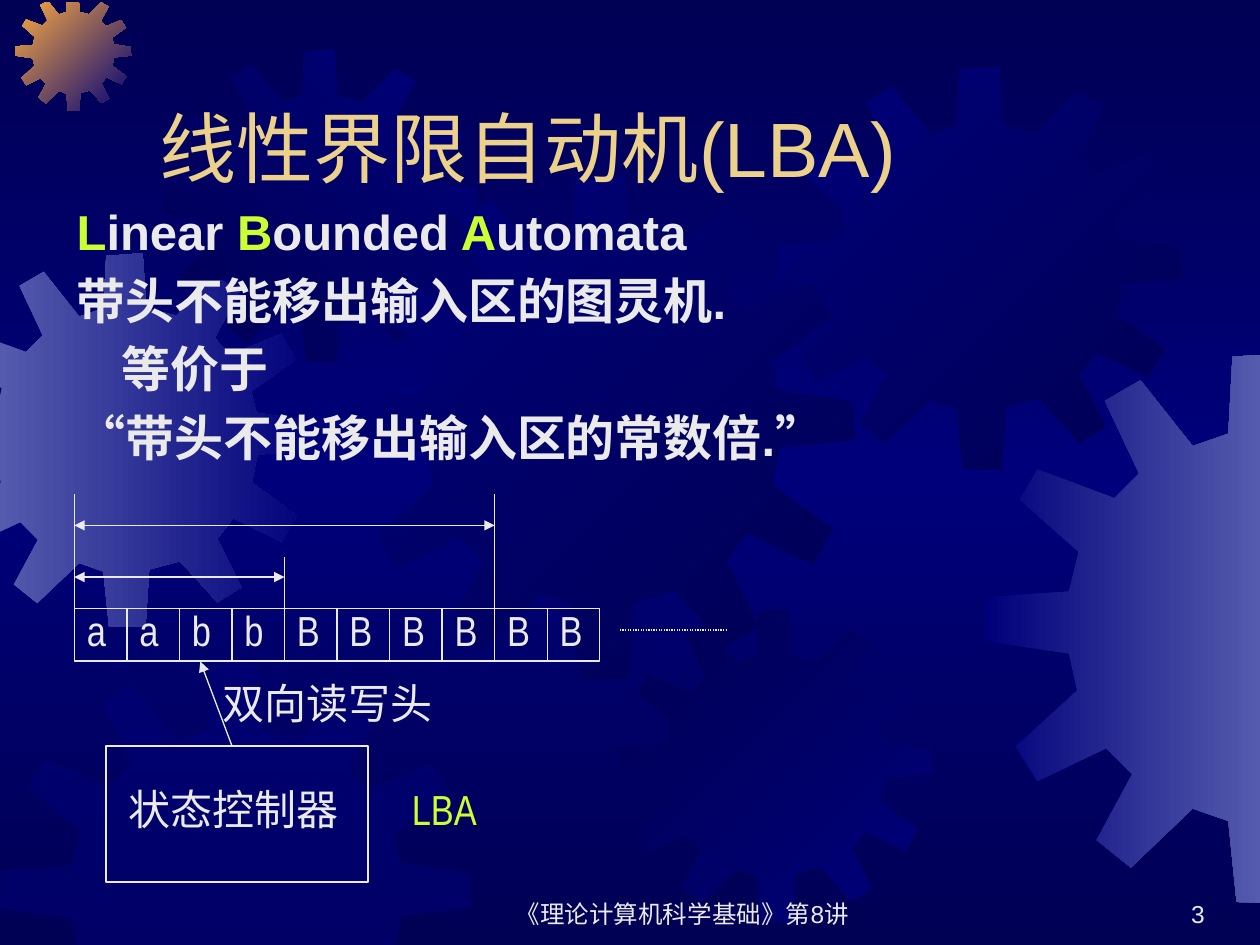
"""Build the linear bounded automata slide with its gear background."""
from copy import deepcopy

from lxml import etree
from pptx import Presentation
from pptx.dml.color import RGBColor
from pptx.enum.dml import MSO_LINE
from pptx.enum.shapes import MSO_CONNECTOR, MSO_SHAPE
from pptx.enum.text import MSO_ANCHOR, PP_ALIGN
from pptx.oxml.ns import qn
from pptx.util import Inches, Pt

STRAIGHT = MSO_CONNECTOR.STRAIGHT
RECTANGLE = MSO_SHAPE.RECTANGLE
SYS_DOT = MSO_LINE.ROUND_DOT
TOP, BOTTOM = MSO_ANCHOR.TOP, MSO_ANCHOR.BOTTOM
LEFT, CENTER, RIGHT = PP_ALIGN.LEFT, PP_ALIGN.CENTER, PP_ALIGN.RIGHT

NAVY = RGBColor(0x00, 0x00, 0x54)
BLUE = RGBColor(0x00, 0x00, 0x7A)
STEEL = RGBColor(0x55, 0x5B, 0xAD)
ORANGE = RGBColor(0xFC, 0xAB, 0x40)
PALE = RGBColor(0xEA, 0xEA, 0xEA)
GOLD = RGBColor(0xEB, 0xD1, 0x89)
LIME = RGBColor(0xCC, 0xFF, 0x33)

GEAR_SPAN = 4.01
GEAR_OUTLINE = [
    (2.55, 0.67), (2.23, 0.59), (2.19, 0), (1.8, 0.03), (1.77, 0.59), (1.51, 0.68),
    (1.13, 0.2), (0.87, 0.35), (1.12, 0.88), (0.94, 1.06), (0.38, 0.85), (0.25, 1.07),
    (0.68, 1.45), (0.61, 1.74), (0.01, 1.78), (0, 2.1), (0.61, 2.19), (0.67, 2.46),
    (0.22, 2.87), (0.38, 3.12), (0.88, 2.88), (1.07, 3.07), (0.81, 3.55), (1.06, 3.75),
    (1.51, 3.32), (1.77, 3.41), (1.83, 4), (2.22, 4.01), (2.26, 3.39), (2.59, 3.3),
    (2.99, 3.74), (3.25, 3.58), (2.99, 3.06), (3.16, 2.84), (3.68, 3.09), (3.84, 2.81),
    (3.36, 2.46), (3.42, 2.16), (4.01, 2.1), (4, 1.8), (3.41, 1.71), (3.35, 1.48),
    (3.83, 1.14), (3.67, 0.87), (3.13, 1.09), (2.96, 0.91), (3.23, 0.41), (2.97, 0.25),
]
SLIDE_EDGES = [(0, -0.01, 1), (0, 10.01, -1), (1, 0.02, 1), (1, 7.54, -1)]

prs = Presentation()
prs.slide_width, prs.slide_height = Inches(10), Inches(7.5)
slide = prs.slides.add_slide(prs.slide_layouts[6])
shapes = slide.shapes

backdrop = slide.background.fill
backdrop.gradient()
backdrop.gradient_angle = 270
for stop in backdrop.gradient_stops:
    stop.color.rgb = NAVY
stop_list = slide.element.find(".//" + qn("a:gsLst"))
stop_list.insert(1, deepcopy(stop_list[0]))
backdrop.gradient_stops[1].color.rgb = BLUE
for stop, position in zip(backdrop.gradient_stops, (0, 0.5, 1)):
    stop.position = position

gears = [
    (-0.49, 2.01, 2.97, STEEL, BLUE, 0),
    (0.12, -0.04, 0.92, ORANGE, BLUE, 45),
    (1.3, 0.39, 2.48, NAVY, BLUE, 315),
    (2.77, 1.39, 4.01, BLUE, NAVY, 45),
    (0, 5.25, 3.74, BLUE, None, 0),
    (4.91, 4.84, 2.48, NAVY, BLUE, 45),
    (6.18, 0.53, 3.2, BLUE, NAVY, 45),
    (7.82, 2.8, 4.37, BLUE, STEEL, 0),
]
for left, top, size, start_color, end_color, angle in gears:
    scale = size / GEAR_SPAN
    outline = [(left + x * scale, top + y * scale) for x, y in GEAR_OUTLINE]
    for axis, limit, side in SLIDE_EDGES:
        kept = []
        for a, b in zip(outline, outline[1:] + outline[:1]):
            a_inside = (a[axis] - limit) * side >= 0
            if a_inside:
                kept.append(a)
            if a_inside != ((b[axis] - limit) * side >= 0):
                t = (limit - a[axis]) / (b[axis] - a[axis])
                kept.append((a[0] + t * (b[0] - a[0]), a[1] + t * (b[1] - a[1])))
        outline = kept
    points = [(Inches(x), Inches(y)) for x, y in outline]
    builder = shapes.build_freeform(*points[0])
    builder.add_line_segments(points[1:], close=True)
    gear = builder.convert_to_shape()
    gear.shadow.inherit = False
    gear.line.fill.background()
    if end_color is None:
        gear.fill.solid()
        gear.fill.fore_color.rgb = start_color
        tint = gear.fill._xPr.find(".//" + qn("a:srgbClr"))
        etree.SubElement(tint, qn("a:alpha"), val="50000")
    else:
        gear.fill.gradient()
        gear.fill.gradient_angle = (360 - angle) % 360
        for stop, color, position in zip(gear.fill.gradient_stops, (start_color, end_color), (0, 1)):
            stop.color.rgb = color
            stop.position = position


def add_text(box, lines, size, font="Arial Narrow", align=LEFT, anchor=TOP, bold=False):
    frame = shapes.add_textbox(*map(Inches, box)).text_frame
    frame.word_wrap = True
    frame.vertical_anchor = anchor
    for index, pieces in enumerate(lines):
        paragraph = frame.add_paragraph() if index else frame.paragraphs[0]
        paragraph.alignment = align
        for words, color in pieces:
            run = paragraph.add_run()
            run.text = words
            run.font.size, run.font.name, run.font.bold = Pt(size), font, bold
            run.font.color.rgb = color
    return frame


def add_line(start, end, head=False, tail=False):
    connector = shapes.add_connector(STRAIGHT, *map(Inches, start + end))
    connector.line.color.rgb = PALE
    connector.line.width = Pt(0.75)
    outline_xml = connector.line._get_or_add_ln()
    for shown, tag in ((head, "a:headEnd"), (tail, "a:tailEnd")):
        if shown:
            etree.SubElement(outline_xml, qn(tag), type="triangle")
    etree.SubElement(connector._element.spPr, qn("a:effectLst"))
    return connector


add_text((3.83, 6.92, 3.17, 0.5), [[("《理论计算机科学基础》第8讲", PALE)]], 14, "Arial", CENTER, BOTTOM)
add_text((7.58, 6.92, 2.08, 0.5), [[("3", PALE)]], 14, "Arial", RIGHT, BOTTOM)
add_text((1.17, 0.33, 8.5, 1.25), [[("线性界限自动机(LBA)", GOLD)]], 44, "Arial", LEFT, BOTTOM)

definition = add_text((0.51, 1.55, 8.52, 2.75), [
    [("L", LIME), ("inear", PALE), (" B", LIME), ("ounded", PALE), (" A", LIME), ("utomata", PALE)],
    [("带头不能移出输入区的图灵机.", PALE)],
    [("等价于", PALE)],
    [("“带头不能移出输入区的常数倍.”", PALE)],
], 28, "Arial", bold=True)
for paragraph, indent in zip(definition.paragraphs, (0, 0, 0.36, 0)):
    paragraph.space_before = Pt(5.6)
    paragraph._p.get_or_add_pPr().set("marL", str(Inches(indent)))

TAPE_LEFT, TAPE_TOP, CELL = 0.59, 4.83, 0.417
tape = "aabbBBBBBB"
edges = [TAPE_LEFT + index * CELL for index in range(len(tape) + 1)]
frames = [(0.84, 5.92, 2.08, 1.08)] + [(x, TAPE_TOP, CELL, CELL) for x in edges[:-1]]
for box in frames:
    outline_box = shapes.add_shape(RECTANGLE, *map(Inches, box))
    outline_box.shadow.inherit = False
    outline_box.fill.background()
    outline_box.line.color.rgb = PALE
    outline_box.line.width = Pt(0.75)
for x, symbol in zip(edges, tape):
    add_text((x, 4.75, CELL, 0.5), [[(symbol, PALE)]], 24)

add_text((0.92, 6.17, 1.92, 0.5), [[("状态控制器", PALE)]], 24)
add_text((1.67, 5.33, 2.08, 0.5), [[("双向读写头", PALE)]], 24)
add_text((3.17, 6.17, 0.75, 0.5), [[("LBA", LIME)]], 24)

add_line((edges[3], 5.92), (1.59, 5.25), tail=True)
for x, top in ((edges[0], 3.92), (edges[4], 4.42), (edges[8], 3.92)):
    add_line((x, TAPE_TOP), (x, top))
for x, y in ((edges[4], 4.58), (edges[8], 4.17)):
    add_line((edges[0], y), (x, y), head=True, tail=True)
add_line((4.92, 5), (5.76, 5)).line.dash_style = SYS_DOT

prs.save("out.pptx")
